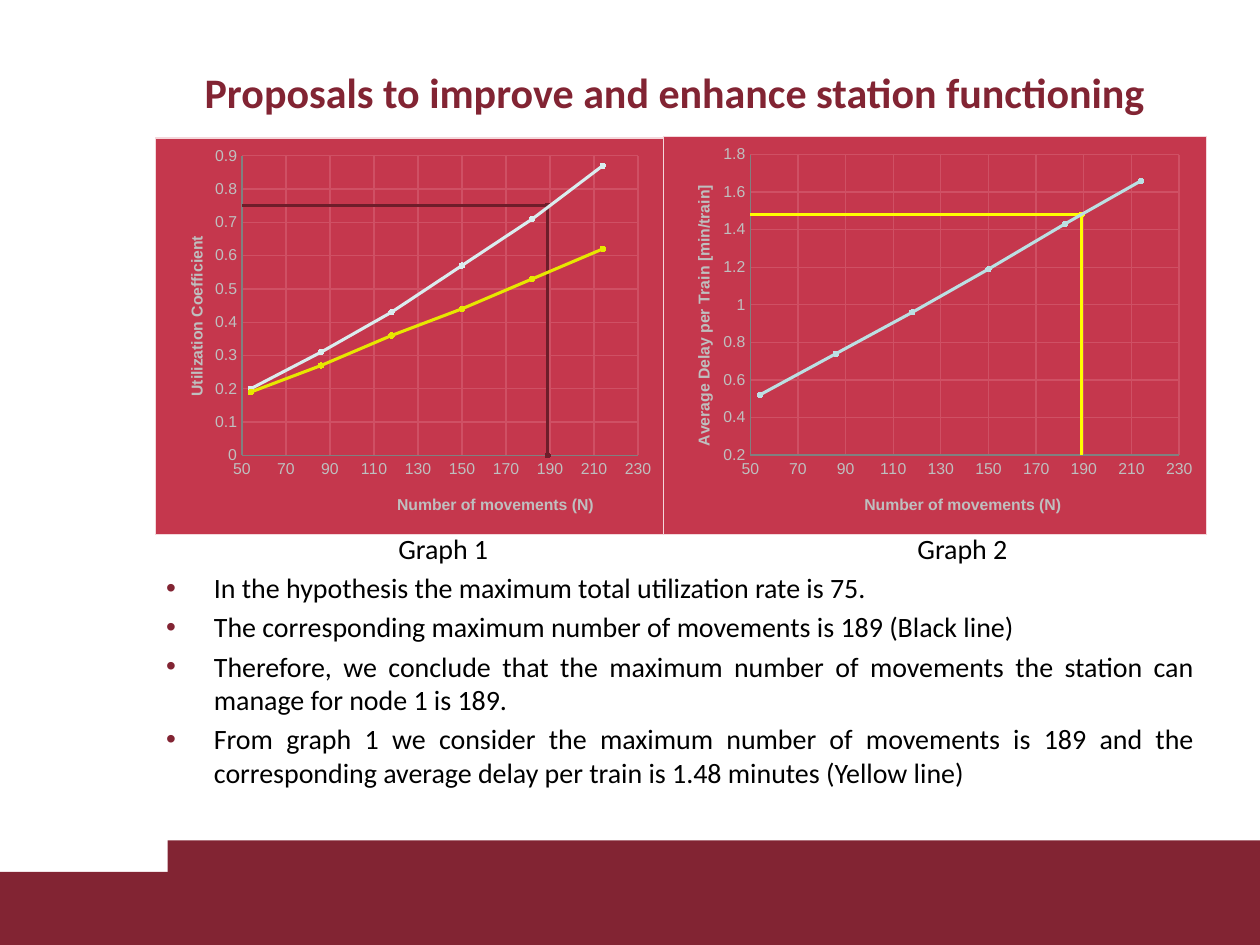
from dataclasses import dataclass

import lxml.etree
import pptx
import pptx.chart.data
import pptx.dml.color
import pptx.enum.chart
import pptx.enum.shapes
import pptx.enum.text
import pptx.oxml
import pptx.oxml.ns
import pptx.util
from pptx.util import Inches

COLORS = {
    "maroon": "822433", "black": "000000", "panel": "C5374D",
    "border": "F4D7DB", "grid": "CF5064", "axis": "808080", "label": "BFBFBF",
}
ALIGN = pptx.enum.text.PP_ALIGN
MOVEMENTS = (54, 86, 118, 150, 182, 214)
LIMIT = (0, 189, 189)
BULLETS = (
    "In the hypothesis the maximum total utilization rate is 75.",
    "The corresponding maximum number of movements is 189 (Black line)",
    "Therefore, we conclude that the maximum number of movements the station "
    "can manage for node 1 is 189.",
    "From graph 1 we consider the maximum number of movements is 189 and the "
    "corresponding average delay per train is 1.48 minutes (Yellow line)",
)


@dataclass
class Series:
    xs: tuple
    ys: tuple
    line: str
    marker: str


@dataclass
class AxisSpec:
    title: str
    low: float
    high: float
    step: float
    title_at: tuple


@dataclass
class Graph:
    box: tuple
    plot: tuple
    x: AxisSpec
    y: AxisSpec
    series: tuple


GRAPHS = (
    Graph(
        (5.26, 1.08, 4.32, 3.17), (0.16, 0.045, 0.79, 0.755),
        AxisSpec("Number of movements (N)", 50, 230, 20, (0.365, 0.89)),
        AxisSpec("Average Delay per Train [min/train]", 0.2, 1.8, 0.2, (0.05, 0.115)),
        (
            Series(MOVEMENTS, (0.52, 0.74, 0.96, 1.19, 1.43, 1.66), "BBE0E3", "D6ECEE"),
            Series(LIMIT, (1.48, 1.48, 0), "FFFF00", "FFFF66"),
        ),
    ),
    Graph(
        (1.23, 1.09, 4.04, 3.16), (0.17, 0.045, 0.78, 0.755),
        AxisSpec("Number of movements (N)", 50, 230, 20, (0.47, 0.89)),
        AxisSpec("Utilization Coefficient", 0, 0.9, 0.1, (0.055, 0.24)),
        (
            Series(MOVEMENTS, (0.19, 0.27, 0.36, 0.44, 0.53, 0.62), "E7E700", "FFFF58"),
            Series(MOVEMENTS, (0.2, 0.31, 0.43, 0.57, 0.71, 0.87), "DAEDEF", "E9F4F5"),
            Series(LIMIT, (0.75, 0.75, 0), "6E1D2A", "D14F64"),
        ),
    ),
)


def rgb(value: str) -> pptx.dml.color.RGBColor:
    return pptx.dml.color.RGBColor.from_string(value)


def xml(text: str) -> lxml.etree._Element:
    return pptx.oxml.parse_xml(text.replace(">", " " + pptx.oxml.ns.nsdecls("a", "c") + ">", 1))


def write(tf, text: str, *, size: float, color: str, font: str = "Calibri",
          bold: bool = False, align=ALIGN.LEFT, before: float = 0):
    p = tf.paragraphs[0]
    if p.runs:
        p = tf.add_paragraph()
    p.alignment = align
    p.space_before = pptx.util.Pt(before)
    r = p.add_run()
    r.text = text
    r.font.name, r.font.size, r.font.bold = font, pptx.util.Pt(size), bold
    r.font.color.rgb = rgb(color)
    return p


def stroke(line, color: str, width: float = 0.75) -> None:
    line.color.rgb = rgb(color)
    line.width = pptx.util.Pt(width)


def layout_xml(at: tuple, inner: bool = False) -> lxml.etree._Element:
    target = '<c:layoutTarget val="inner"/>' if inner else ""
    modes = '<c:xMode val="edge"/><c:yMode val="edge"/>'
    parts = "".join(f'<c:{tag} val="{v}"/>' for tag, v in zip("xywh", at))
    return xml(f"<c:layout><c:manualLayout>{target}{modes}{parts}</c:manualLayout></c:layout>")


def replace_layout(parent, new, after=None) -> None:
    for old in parent.findall(pptx.oxml.ns.qn("c:layout")):
        parent.remove(old)
    if after is None:
        parent.insert(0, new)
    else:
        after.addnext(new)


def format_axis(axis, spec: AxisSpec) -> None:
    axis.minimum_scale, axis.maximum_scale = spec.low, spec.high
    axis.major_unit = spec.step
    axis.crosses = pptx.enum.chart.XL_AXIS_CROSSES.MINIMUM
    axis.major_tick_mark = axis.minor_tick_mark = pptx.enum.chart.XL_TICK_MARK.NONE
    axis.has_major_gridlines = True
    stroke(axis.major_gridlines.format.line, COLORS["grid"])
    stroke(axis.format.line, COLORS["axis"])
    labels = axis.tick_labels
    labels.number_format, labels.number_format_is_linked = "General", False
    labels.font.name, labels.font.size = "Arial", pptx.util.Pt(9)
    labels.font.color.rgb = rgb(COLORS["label"])
    write(axis.axis_title.text_frame, spec.title, size=9, color=COLORS["label"],
          font="Arial", bold=True, align=ALIGN.CENTER)
    title = axis.axis_title._element
    replace_layout(title, layout_xml(spec.title_at), title.find(pptx.oxml.ns.qn("c:tx")))


def add_graph(s, graph: Graph) -> None:
    data = pptx.chart.data.XyChartData()
    for i, item in enumerate(graph.series, 1):
        series = data.add_series(f"Series {i}")
        for x, y in zip(item.xs, item.ys):
            series.add_data_point(x, y)
    chart = s.shapes.add_chart(pptx.enum.chart.XL_CHART_TYPE.XY_SCATTER_LINES,
                               *map(Inches, graph.box), data).chart
    chart.has_legend = chart.has_title = False
    chart.font.name, chart.font.size = "Arial", pptx.util.Pt(10)
    chart.font.color.rgb = rgb(COLORS["maroon"])
    plot = chart.plots[0]
    plot.vary_by_categories = False
    for series, item in zip(plot.series, graph.series):
        series.smooth = False
        stroke(series.format.line, item.line, 1.75)
        marker = series.marker
        marker.style, marker.size = pptx.enum.chart.XL_MARKER_STYLE.CIRCLE, 3
        marker.format.fill.solid()
        marker.format.fill.fore_color.rgb = rgb(item.marker)
        stroke(marker.format.line, item.line)
    format_axis(chart.category_axis, graph.x)
    format_axis(chart.value_axis, graph.y)
    body = chart._chartSpace.find(pptx.oxml.ns.qn("c:chart"))
    replace_layout(body.find(pptx.oxml.ns.qn("c:plotArea")), layout_xml(graph.plot, True))
    body.addprevious(xml('<c:roundedCorners val="0"></c:roundedCorners>'))
    fill, border = (f'<a:solidFill><a:srgbClr val="{COLORS[k]}"/></a:solidFill>'
                    for k in ("panel", "border"))
    body.addnext(xml(f'<c:spPr>{fill}<a:ln w="9525">{border}</a:ln></c:spPr>'))


def add_band(s, box: tuple) -> None:
    sp = s.shapes.add_shape(pptx.enum.shapes.MSO_SHAPE.RECTANGLE, *map(Inches, box))
    sp.shadow.inherit = False
    sp.fill.solid()
    sp.fill.fore_color.rgb = rgb(COLORS["maroon"])
    sp.line.fill.background()


def add_notes_on_graphs(s) -> None:
    tf = s.shapes.add_textbox(*map(Inches, (1.22, 4.17, 8.36, 2.24))).text_frame
    tf.word_wrap = True
    p = write(tf, "\tGraph 1\tGraph 2", size=16, color=COLORS["black"], before=3.2)
    stops = "".join(f'<a:tab pos="{Inches(x)}" algn="ctr"/>' for x in (2.2, 6.32))
    p._p.get_or_add_pPr().append(xml(f"<a:tabLst>{stops}</a:tabLst>"))
    for text in BULLETS:
        p = write(tf, text, size=16, color=COLORS["black"], align=ALIGN.JUSTIFY, before=3.2)
        pPr = p._p.get_or_add_pPr()
        pPr.set("marL", str(Inches(0.38)))
        pPr.set("indent", str(Inches(-0.38)))
        pPr.append(xml(f'<a:buClr><a:srgbClr val="{COLORS["maroon"]}"/></a:buClr>'))
        pPr.append(xml('<a:buFont typeface="Arial"></a:buFont>'))
        pPr.append(xml('<a:buChar char="•"></a:buChar>'))


def main() -> None:
    prs = pptx.Presentation()
    prs.slide_width, prs.slide_height = Inches(10), Inches(7.5)
    s = prs.slides.add_slide(prs.slide_layouts[5])
    for box in ((0, 6.92, 10, 0.58), (1.33, 6.67, 8.67, 0.83)):
        add_band(s, box)
    title = s.shapes.title
    title.left, title.top, title.width, title.height = map(Inches, (1.22, 0.45, 8.27, 0.55))
    write(title.text_frame, "Proposals to improve and enhance station functioning",
          size=24, color=COLORS["maroon"], bold=True, align=ALIGN.CENTER)
    add_notes_on_graphs(s)
    for graph in GRAPHS:
        add_graph(s, graph)
    prs.save("out.pptx")


if __name__ == "__main__":
    main()
